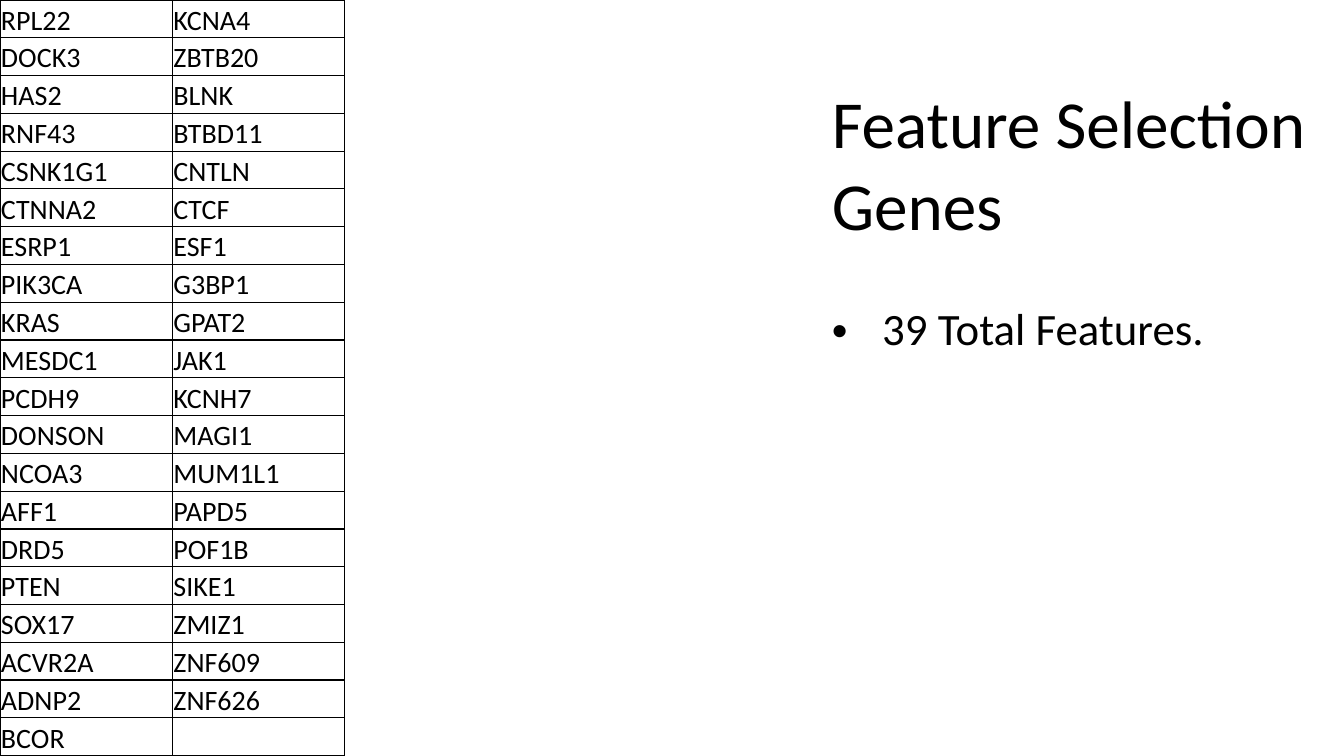
from lxml import etree
from pptx import Presentation
from pptx.dml.color import RGBColor
from pptx.enum.text import MSO_ANCHOR
from pptx.oxml.ns import qn
from pptx.util import Inches, Pt

BOTTOM = MSO_ANCHOR.BOTTOM

FONT, INK = "Calibri", "000000"
TITLE = ["Feature Selection", "Genes"]
POINT = "39 Total Features."
GENES = [
    ("RPL22", "KCNA4"), ("DOCK3", "ZBTB20"), ("HAS2", "BLNK"),
    ("RNF43", "BTBD11"), ("CSNK1G1", "CNTLN"), ("CTNNA2", "CTCF"),
    ("ESRP1", "ESF1"), ("PIK3CA", "G3BP1"), ("KRAS", "GPAT2"),
    ("MESDC1", "JAK1"), ("PCDH9", "KCNH7"), ("DONSON", "MAGI1"),
    ("NCOA3", "MUM1L1"), ("AFF1", "PAPD5"), ("DRD5", "POF1B"),
    ("PTEN", "SIKE1"), ("SOX17", "ZMIZ1"), ("ACVR2A", "ZNF609"),
    ("ADNP2", "ZNF626"), ("BCOR", ""),
]
WIDE, HIGH = 13.33, 7.5
GENE_BOX = (0, 0, 3.42, HIGH)
TEXT_BOX = (8.15, 0.79, 5.07, 5.46)
GAP = 39
INDENT = 0.5


def paint(target, color):
    target.rgb = RGBColor.from_string(color)


def write(para, text, size):
    run = para.add_run()
    run.text = text
    run.font.name, run.font.size = FONT, Pt(size)
    paint(run.font.color, INK)


def add_grid(slide, rows, cols, box):
    """Add a table without header or banding."""
    area = [Inches(n) for n in box]
    table = slide.shapes.add_table(rows, cols, *area).table
    table.first_row = table.horz_banding = False
    return table


def border(cell, color=None):
    """Draw all four sides, or hide them when no color is given."""
    props = cell._tc.get_or_add_tcPr()
    for side in ("lnL", "lnR", "lnT", "lnB"):
        line = etree.SubElement(props, qn("a:" + side), w=str(Pt(1)))
        if color:
            fill = etree.SubElement(line, qn("a:solidFill"))
            etree.SubElement(fill, qn("a:srgbClr"), val=color)
        else:
            etree.SubElement(line, qn("a:noFill"))
    cell.fill.background()


def bullet(para):
    props = para._p.get_or_add_pPr()
    props.set("marL", str(Inches(INDENT)))
    props.set("indent", str(-Inches(INDENT)))
    etree.SubElement(props, qn("a:buFont"), typeface="Arial")
    etree.SubElement(props, qn("a:buChar"), char="•")


def add_genes(slide):
    table = add_grid(slide, len(GENES), len(GENES[0]), GENE_BOX)
    for r, names in enumerate(GENES):
        for c, name in enumerate(names):
            cell = table.cell(r, c)
            cell.margin_left = cell.margin_right = Inches(0.01)
            cell.margin_top, cell.margin_bottom = Inches(0.01), 0
            cell.vertical_anchor = BOTTOM
            border(cell, INK)
            if name:
                write(cell.text_frame.paragraphs[0], name, 20)


def add_text(slide):
    cell = add_grid(slide, 1, 1, TEXT_BOX).cell(0, 0)
    border(cell)
    frame = cell.text_frame
    for i, text in enumerate(TITLE):
        para = frame.add_paragraph() if i else frame.paragraphs[0]
        write(para, text, 48)
    para = frame.add_paragraph()
    para.space_before = Pt(GAP)
    bullet(para)
    write(para, POINT, 32)


def main():
    deck = Presentation()
    deck.slide_width, deck.slide_height = Inches(WIDE), Inches(HIGH)
    slide = deck.slides.add_slide(deck.slide_layouts[6])
    add_genes(slide)
    add_text(slide)
    deck.save("out.pptx")


if __name__ == "__main__":
    main()
